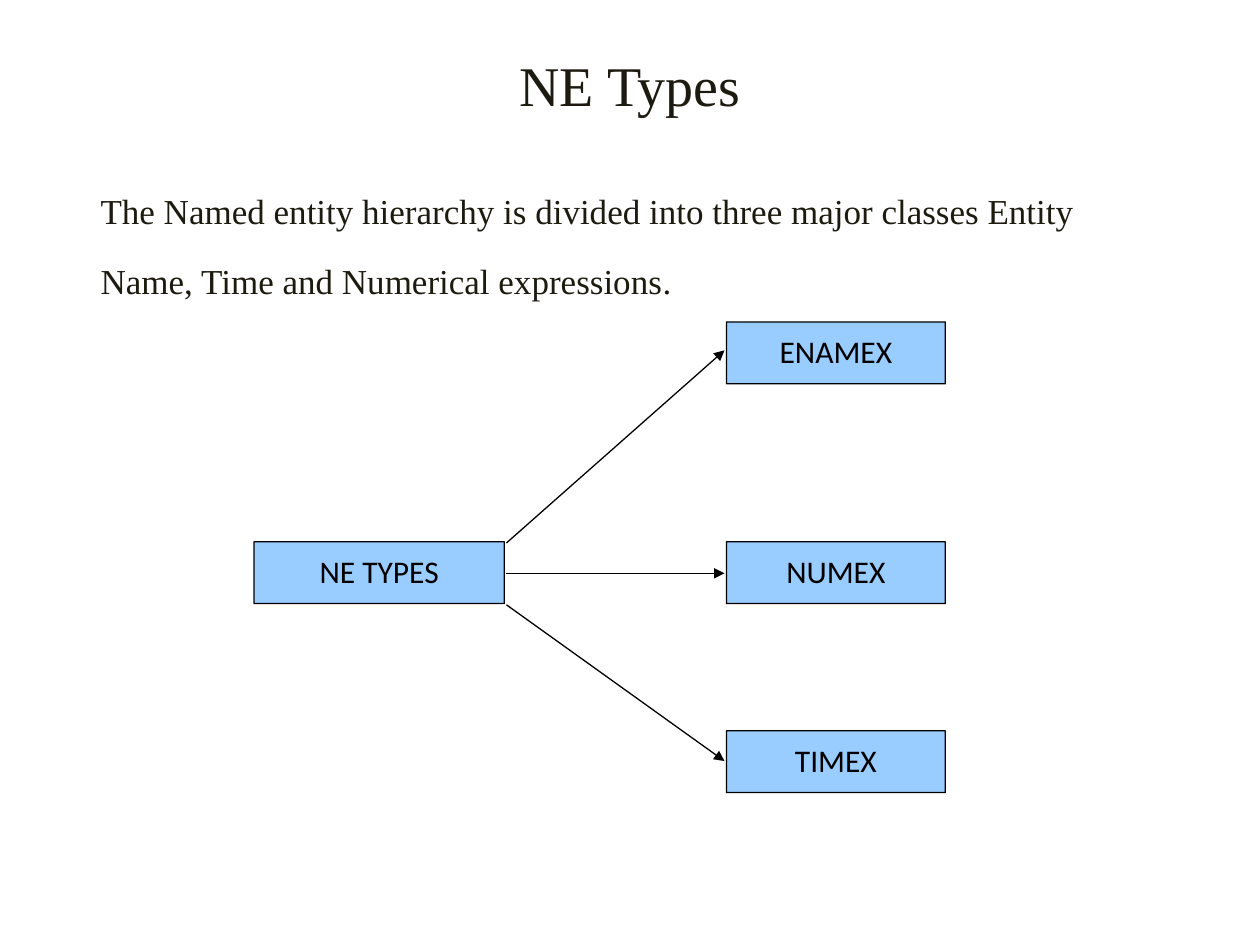
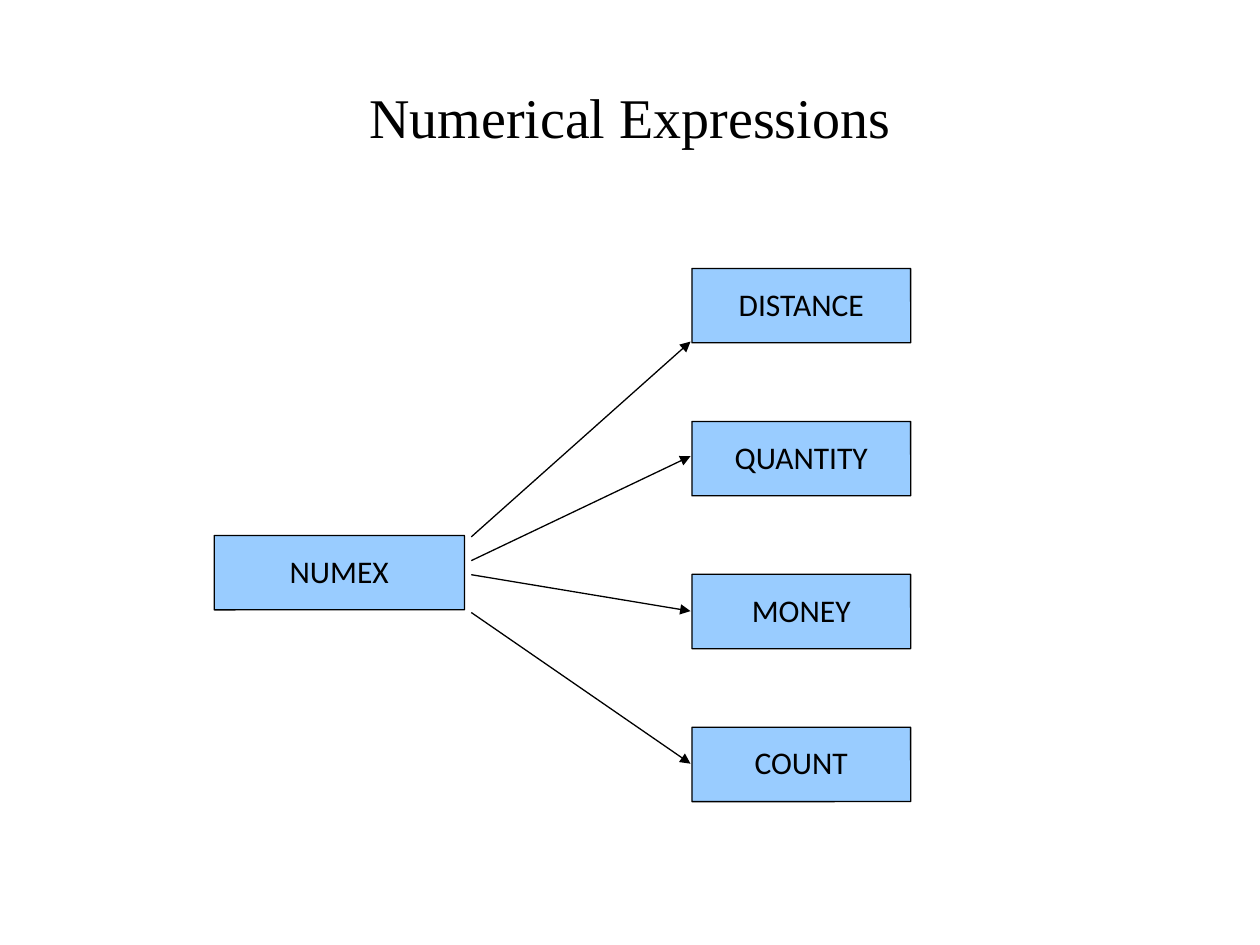
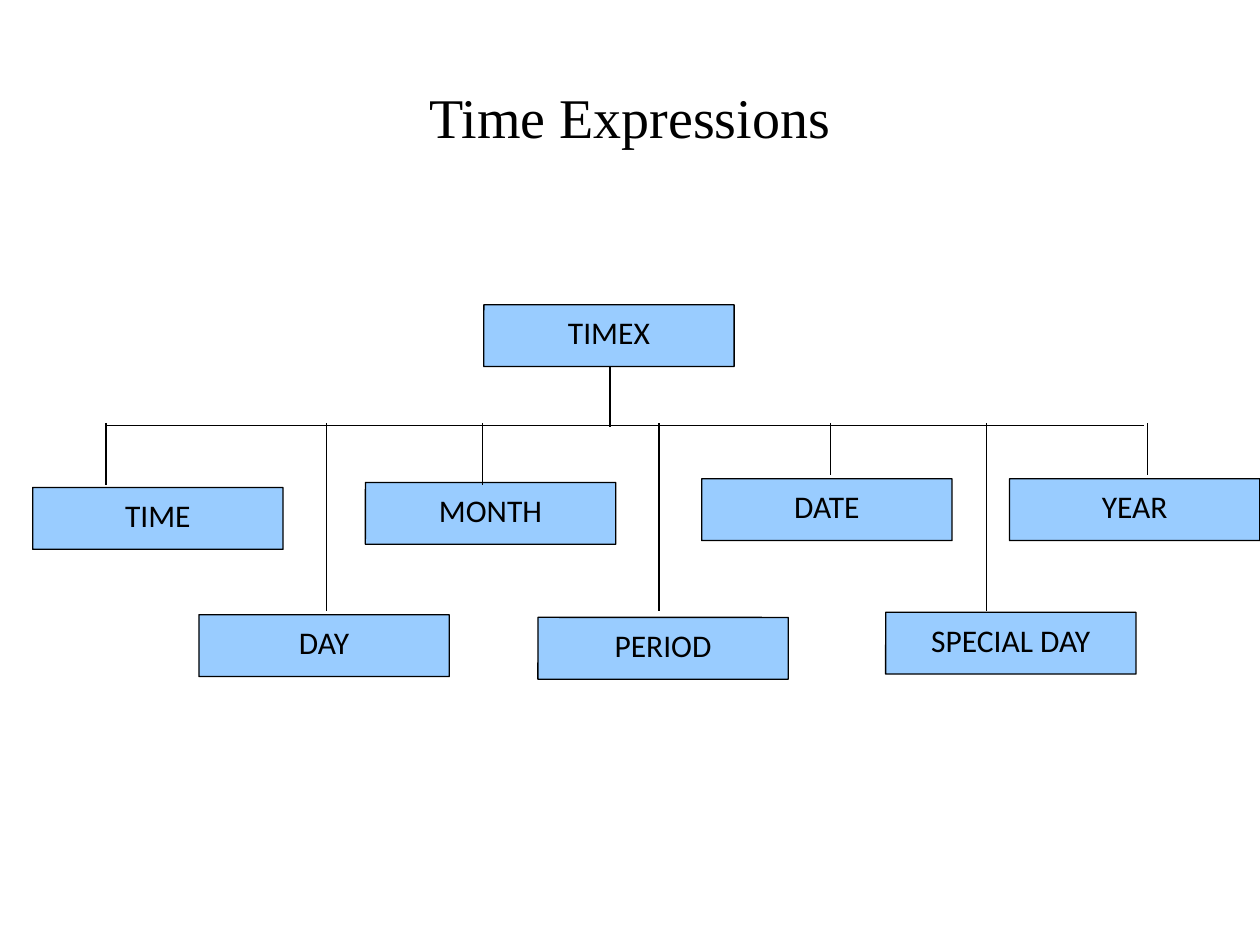
from pptx import Presentation
from pptx.dml.color import RGBColor
from pptx.enum import shapes, text
from pptx.oxml import xmlchemy as xml
from pptx.util import Pt

BLACK = RGBColor(0x00, 0x00, 0x00)
DARK = RGBColor(0x1D, 0x1B, 0x10)
BROWN = RGBColor(0x1C, 0x14, 0x10)
BLUE = RGBColor(0x99, 0xCC, 0xFF)
SERIF = "Times New Roman"
SANS = "Calibri"
ROOT_W = 143
LEAF_W = 125


def style(par, face, size, color, align, space=None):
    """Set the font, alignment and line spacing of a paragraph."""
    par.font.name = face
    par.font.size = Pt(size)
    par.font.color.rgb = color
    par.alignment = align
    par.line_spacing = space


def frame(slide, box):
    """Add a wrapping text box and return its text frame."""
    body = slide.shapes.add_textbox(*map(Pt, box)).text_frame
    body.word_wrap = True
    return body


def title(slide, box, words, color=BLACK):
    """Add the centred slide title."""
    body = frame(slide, box)
    body.vertical_anchor = text.MSO_ANCHOR.MIDDLE
    body.text = words
    style(body.paragraphs[0], SERIF, 32, color, text.PP_ALIGN.CENTER)


def intro(slide, box):
    """Add the two-line statement above the chart of types."""
    body = frame(slide, box)
    first, last = body.paragraphs[0], body.add_paragraph()
    first.text = ("The Named entity hierarchy is divided into "
                  "three major classes Entity ")
    last.add_run().text = "Name, Time and Numerical expressions"
    dot = last.add_run()
    dot.text = ". "
    for par in (first, last):
        props = par._p.get_or_add_pPr()
        props.set("marL", str(Pt(33.8)))
        props.set("indent", str(Pt(-25.2)))
        style(par, SERIF, 20, DARK, text.PP_ALIGN.JUSTIFY, 0.8)
    last.space_before = Pt(20.5)
    dot.font.color.rgb = BROWN


def node(group, box, words, space):
    """Add one labelled blue box."""
    shape = group.shapes.add_shape(
        shapes.MSO_SHAPE.ROUNDED_RECTANGLE, *map(Pt, box))
    shape.adjustments[0] = 0.003
    shape.shadow.inherit = False
    shape.fill.solid()
    shape.fill.fore_color.rgb = BLUE
    shape.line.color.rgb = BLACK
    shape.line.width = Pt(0.75)
    body = shape.text_frame
    body.word_wrap = True
    body.vertical_anchor = text.MSO_ANCHOR.MIDDLE
    body.text = words
    style(body.paragraphs[0], SANS, 18, BLACK, text.PP_ALIGN.CENTER, space)


def link(group, start, end, arrow=False):
    """Add a thin black line, with an arrowhead if asked."""
    line = group.shapes.add_connector(
        shapes.MSO_CONNECTOR.STRAIGHT, *map(Pt, (*start, *end)))
    line.line.color.rgb = BLACK
    line.line.width = Pt(0.75)
    if arrow:
        tail = xml.OxmlElement("a:tailEnd")
        tail.set("type", "triangle")
        line.line._get_or_add_ln().append(tail)
    line._element.spPr.append(xml.OxmlElement("a:effectLst"))


def fan(slide, box, root, top, high, gaps, kids):
    """Draw a root box with arrows to a column of boxes on its right."""
    x, y, wide, _ = box
    near, far = gaps
    left = x + wide - LEAF_W
    group = slide.shapes.add_group_shape()
    node(group, (x, y + top, ROOT_W, high), root, 0.93)
    for name, drop, start, end in kids:
        node(group, (left, y + drop, LEAF_W, high), name, 0.93)
        link(group, (x + ROOT_W + near, y + start),
             (left - far, y + end), True)


def tree(slide, box, root, kids):
    """Draw a root box above a rail from which the other boxes hang."""
    x, y, _, _ = box
    high, rail = 35.3, 69.1
    group = slide.shapes.add_group_shape()
    node(group, (x + 257.8, y, ROOT_W, high), root, 0.81)
    for name, left, top, stem, end in kids:
        node(group, (x + left, y + top, ROOT_W, high), name, 0.81)
        link(group, (x + stem, y + rail - 1.4), (x + stem, y + end))
    link(group, (x + 41.8, y + rail), (x + 635, y + rail))
    link(group, (x + 329.8, y + high), (x + 329.8, y + rail + 0.7))


def main():
    """Build the three slides and save them."""
    deck = Presentation()
    deck.slide_width, deck.slide_height = Pt(720), Pt(540)
    types, nums, times = (
        deck.slides.add_slide(deck.slide_layouts[6]) for _ in range(3))

    title(types, (36, 2.9, 648, 90), "NE Types", DARK)
    fan(types, (145.2, 184, 395, 268.6), "NE TYPES", 125.6, 35.3, (1.2, 1.2), [
        ("ENAMEX", 0, 126.3, 16.2),
        ("NUMEX", 125.6, 143.6, 143.6),
        ("TIMEX", 233.6, 161.6, 250.9),
    ])
    intro(types, (41.8, 109.4, 616.3, 65.5))

    box = (36, 10.1, 648, 113)
    title(nums, box, "Numerical Expressions")
    names = ["DISTANCE", "QUANTITY", "MONEY", "COUNT"]
    ends = [(153.4, 41.8), (167, 107.3), (175, 195.8), (196.6, 283)]
    fan(nums, (122.4, 153.4, 398, 304.6), "NUMEX", 152.6, 42.5, (3.9, 0.8),
        [(name, i * 87.4, *ends[i]) for i, name in enumerate(names)])

    title(times, box, "Time Expressions")
    tree(times, (18.7, 174.2, 701.3, 213.8), "TIMEX", [
        ("TIME", 0, 104.4, 41.8, 103),
        ("DAY", 95, 177.1, 167.8, 175),
        ("MONTH", 190.1, 101.5, 257, 103),
        ("PERIOD", 288.7, 178.6, 357.8, 175),
        ("DATE", 382.3, 99.4, 455.8, 97.2),
        ("SPECIAL DAY", 487.4, 175.7, 545, 175),
        ("YEAR", 558.2, 99.4, 637.2, 97.2),
    ])
    deck.save("out.pptx")


if __name__ == "__main__":
    main()
